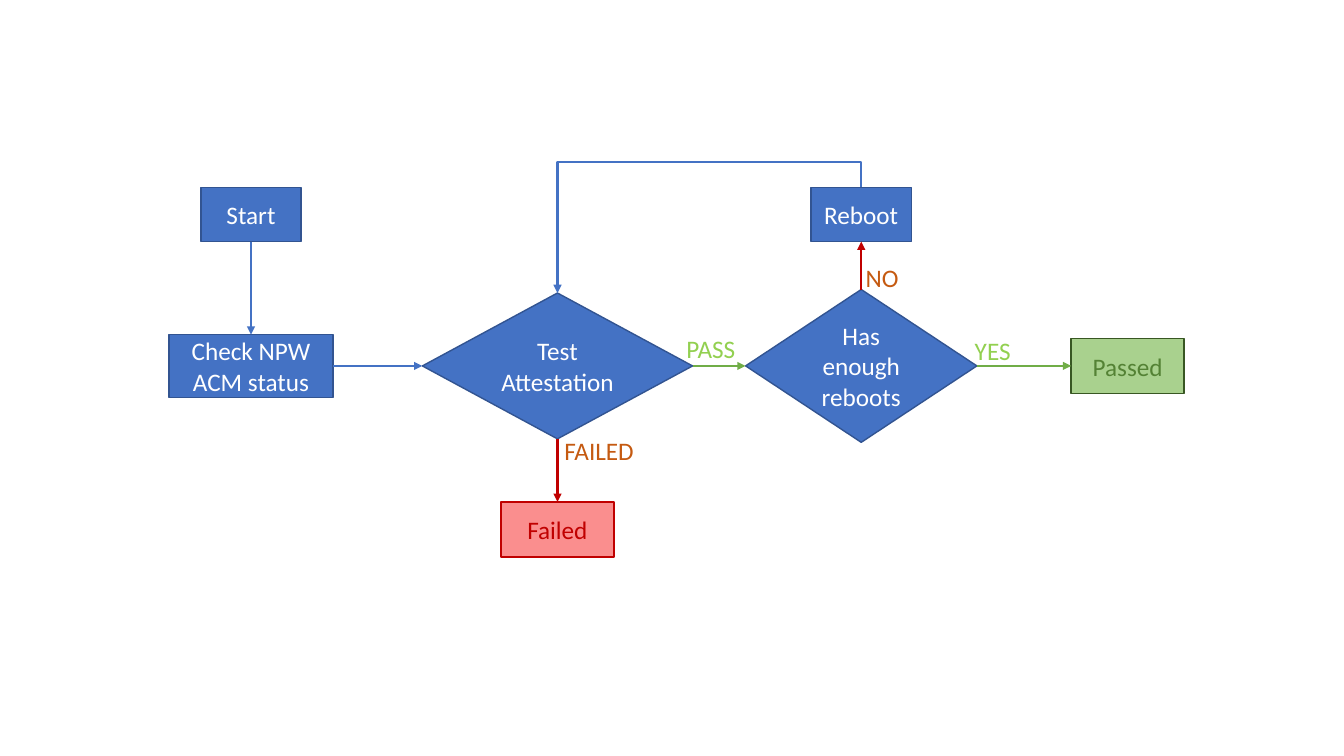
from lxml.etree import SubElement
from pptx import Presentation
from pptx.dml.color import RGBColor
from pptx.enum.shapes import MSO_CONNECTOR as Connector, MSO_SHAPE as Shape
from pptx.enum.text import MSO_ANCHOR as Anchor, PP_ALIGN as Align
from pptx.oxml.ns import qn
from pptx.util import Pt

BLUE, BLUE_EDGE, WHITE = "4472C4", "325491", "FFFFFF"
GREEN, LIME, RED, ORANGE = "70AD47", "92D050", "C00000", "C55A11"
TOP, LEFT, BOTTOM, RIGHT = range(4)
START_X, TEST_X, REBOOT_X, PASSED_X = 179.3, 398.2, 615.2, 805.5
TOP_ROW_Y, MAIN_ROW_Y, FAILED_Y = 153.2, 261.4, 378.2


def color(value):
    return RGBColor.from_string(value)


def write_text(shape, text, size=18, font="Calibri", fill=WHITE, align=Align.CENTER, anchor=Anchor.MIDDLE):
    frame = shape.text_frame
    frame.word_wrap = True
    frame.vertical_anchor = anchor
    paragraph = frame.paragraphs[0]
    paragraph.alignment = align
    run = paragraph.add_run()
    run.text = text
    run.font.size = Pt(size)
    run.font.name = font
    run.font.color.rgb = color(fill)


def add_node(slide, text, center_x, center_y, width, height, kind=Shape.RECTANGLE,
             fill=BLUE, edge=BLUE_EDGE, text_fill=WHITE):
    shape = slide.shapes.add_shape(kind, Pt(center_x - width / 2), Pt(center_y - height / 2),
                                   Pt(width), Pt(height))
    shape.shadow.inherit = False
    shape.fill.solid()
    shape.fill.fore_color.rgb = color(fill)
    shape.line.color.rgb = color(edge)
    shape.line.width = Pt(1)
    write_text(shape, text, fill=text_fill)
    return shape


def add_label(slide, text, left, top, width, fill):
    box = slide.shapes.add_textbox(Pt(left), Pt(top), Pt(width), Pt(29))
    write_text(box, text, fill=fill, align=Align.LEFT, anchor=Anchor.TOP)


def add_arrow(slide, source, source_site, target, target_site, line=BLUE, kind=Connector.STRAIGHT):
    arrow = slide.shapes.add_connector(kind, 0, 0, 0, 0)
    arrow.begin_connect(source, source_site)
    arrow.end_connect(target, target_site)
    arrow.line.color.rgb = color(line)
    arrow.line.width = Pt(1.5)
    properties = arrow._element.spPr
    SubElement(properties.find(qn("a:ln")), qn("a:tailEnd"), type="triangle")
    SubElement(properties, qn("a:effectLst"))
    return arrow


def route_over_top(arrow, rise):
    across, down = arrow.width, arrow.height
    center_x, center_y = arrow.left + across // 2, arrow.top + down // 2
    arrow.left, arrow.top = center_x - down // 2, center_y - across // 2
    arrow.width, arrow.height = down, across
    properties = arrow._element.spPr
    transform = properties.find(qn("a:xfrm"))
    for name, value in (("rot", "16200000"), ("flipH", "1"), ("flipV", "1")):
        transform.set(name, value)
    guides = properties.find(qn("a:prstGeom")).find(qn("a:avLst"))
    bend = round(-100000 * Pt(rise) / down)
    SubElement(guides, qn("a:gd"), name="adj1", fmla=f"val {bend}")


def main():
    presentation = Presentation()
    presentation.slide_width, presentation.slide_height = Pt(960), Pt(540)
    slide = presentation.slides.add_slide(presentation.slide_layouts[6])

    start = add_node(slide, "Start", START_X, TOP_ROW_Y, 71.5, 38.8)
    check = add_node(slide, "Check NPW ACM status", START_X, MAIN_ROW_Y, 117, 44.8)
    test = add_node(slide, "Test Attestation", TEST_X, MAIN_ROW_Y, 193, 104.2, Shape.DIAMOND)
    enough = add_node(slide, "Has enough reboots", REBOOT_X, MAIN_ROW_Y, 165.2, 109.2, Shape.DIAMOND)
    reboot = add_node(slide, "Reboot", REBOOT_X, TOP_ROW_Y, 71.5, 38.8)
    passed = add_node(slide, "Passed", PASSED_X, MAIN_ROW_Y, 80.8, 39.4,
                      fill="A9D18E", edge="385723", text_fill="548235")
    failed = add_node(slide, "Failed", TEST_X, FAILED_Y, 80.8, 39.4,
                      fill="FA8E8E", edge=RED, text_fill=RED)

    add_arrow(slide, start, BOTTOM, check, TOP)
    add_arrow(slide, check, RIGHT, test, LEFT)
    add_arrow(slide, test, RIGHT, enough, LEFT, GREEN)
    add_arrow(slide, test, BOTTOM, failed, TOP, RED)
    add_arrow(slide, enough, TOP, reboot, BOTTOM, RED)
    add_arrow(slide, enough, RIGHT, passed, LEFT, GREEN)
    restart = add_arrow(slide, reboot, TOP, test, TOP, kind=Connector.ELBOW)
    route_over_top(restart, 18)

    add_label(slide, "PASS", 483.2, 234.8, 52, LIME)
    add_label(slide, "YES", 689.2, 236.2, 52, LIME)
    add_label(slide, "NO", 611.3, 183.6, 43.2, ORANGE)
    add_label(slide, "FAILED", 396, 307.6, 68.4, ORANGE)

    presentation.save("out.pptx")


main()
